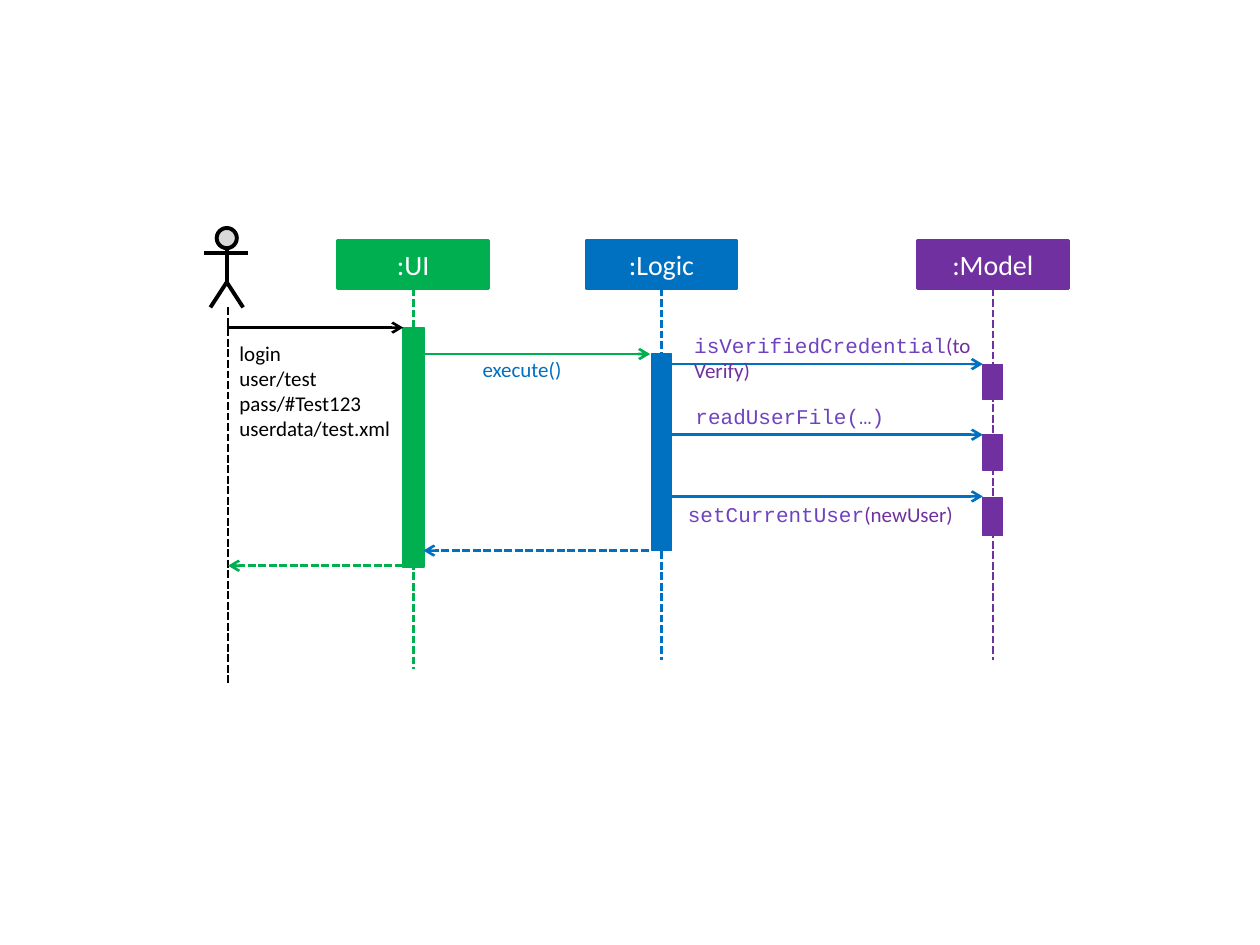
from pptx import Presentation
from pptx.dml.color import RGBColor
from pptx.enum import dml, shapes, text
from pptx.oxml.ns import qn
from pptx.util import Inches, Pt
from lxml import etree

COLORS = {
    "ui": "00B050", "logic": "0070C0", "model": "7030A0", "actor": "000000",
    "head": "D9D9D9", "code": "6F42C1", "white": "FFFFFF",
}
BODY, MONO = "Calibri", "Courier New"

# Participants: name, colour, centre x, lifeline end, activations (top, width, height)
HEADER_TOP, HEADER_WIDTH, HEADER_HEIGHT = 1.91, 1.2, 0.38
PARTICIPANTS = [
    (":UI", "ui", 3.28, 5.31, [(2.6, 0.17, 1.9)]),
    (":Logic", "logic", 5.25, 5.24, [(2.81, 0.16, 1.56)]),
    (":Model", "model", 7.88, 5.24,
     [(2.89, 0.16, 0.28), (3.45, 0.16, 0.28), (3.95, 0.16, 0.3)]),
]
ACTOR_X, ACTOR_LIFELINE = 1.8, (2.44, 5.43)

# Messages: sender x, receiver x, y, colour, is a return
MESSAGES = [
    (1.8, 3.2, 2.6, "actor", False),
    (3.36, 5.16, 2.81, "ui", False),
    (5.33, 7.8, 2.89, "logic", False),
    (5.33, 7.8, 3.45, "logic", False),
    (5.33, 7.8, 3.94, "logic", False),
    (5.15, 3.36, 4.37, "logic", True),
    (3.28, 1.81, 4.49, "ui", True),
]

# Labels: left, top, width, height, paragraphs of (text, font, colour) runs
LABELS = [
    (1.9, 2.7, 1.35, 0.81, [[("login\vuser/test", BODY, "actor")],
                            [("pass/#Test123", BODY, "actor")],
                            [("userdata/test.xml", BODY, "actor")]]),
    (3.83, 2.83, 1.56, 0.2, [[("execute()", BODY, "logic")]]),
    (5.51, 2.64, 2.23, 0.2, [[("isVerifiedCredential", MONO, "code"),
                              ("(toVerify)", BODY, "model")]]),
    (5.52, 3.2, 2.23, 0.2, [[("readUserFile(…)", MONO, "code")]]),
    (5.46, 3.98, 2.23, 0.2, [[("setCurrentUser", MONO, "code"),
                              ("(newUser)", BODY, "model")]]),
]


def rgb(name):
    return RGBColor.from_string(COLORS[name])


def style_font(font, size, name, color):
    font.size, font.name = Pt(size), name
    font.color.rgb = rgb(color)


def add_block(parent, kind, left, top, width, height, fill, line, weight):
    block = parent.add_shape(kind, *map(Inches, (left, top, width, height)))
    block.shadow.inherit = False
    block.fill.solid()
    block.fill.fore_color.rgb = rgb(fill)
    block.line.color.rgb = rgb(line)
    block.line.width = Pt(weight)
    return block


def add_line(parent, x1, y1, x2, y2, color, weight=1.5, dashed=False, arrow=False):
    line = parent.add_connector(shapes.MSO_CONNECTOR.STRAIGHT,
                                *map(Inches, (x1, y1, x2, y2)))
    line.line.color.rgb = rgb(color)
    line.line.width = Pt(weight)
    if dashed:
        line.line.dash_style = dml.MSO_LINE.SQUARE_DOT
    properties = line._element.spPr
    if arrow:
        etree.SubElement(properties.find(qn("a:ln")), qn("a:tailEnd"), type="arrow")
    etree.SubElement(properties, qn("a:effectLst"))
    return line


def add_actor(slide):
    figure = slide.shapes.add_group_shape().shapes
    add_block(figure, shapes.MSO_SHAPE.FLOWCHART_CONNECTOR,
              ACTOR_X - 0.08, 1.81, 0.16, 0.16, "head", "actor", 2.25)
    add_line(figure, ACTOR_X, 1.97, ACTOR_X, 2.25, "actor", 2.25)
    add_line(figure, ACTOR_X - 0.18, 2.01, ACTOR_X + 0.17, 2.01, "actor", 2.25)
    outline = figure.build_freeform(Inches(ACTOR_X - 0.13), Inches(2.44))
    outline.add_line_segments([(Inches(ACTOR_X), Inches(2.24)),
                               (Inches(ACTOR_X + 0.13), Inches(2.44))], close=False)
    legs = outline.convert_to_shape()
    legs.shadow.inherit = False
    legs.fill.background()
    legs.line.color.rgb = rgb("actor")
    legs.line.width = Pt(2.25)


def add_participant(slide, name, color, center, end, activations):
    rectangle = shapes.MSO_SHAPE.RECTANGLE
    header = add_block(slide.shapes, rectangle, center - HEADER_WIDTH / 2, HEADER_TOP,
                       HEADER_WIDTH, HEADER_HEIGHT, color, color, 1.5)
    header.text_frame.text = name
    header.text_frame.vertical_anchor = text.MSO_ANCHOR.MIDDLE
    para = header.text_frame.paragraphs[0]
    para.alignment = text.PP_ALIGN.CENTER
    style_font(para.font, 16, BODY, "white")

    lifeline = add_line(slide.shapes, center, HEADER_TOP + HEADER_HEIGHT,
                        center, end, color, dashed=True)
    lifeline.begin_connect(header, 2)
    for top, width, height in activations:
        add_block(slide.shapes, rectangle, center - width / 2, top, width, height,
                  color, color, 0.75)


def add_label(slide, left, top, width, height, paragraphs):
    box = slide.shapes.add_textbox(*map(Inches, (left, top, width, height)))
    frame = box.text_frame
    frame.word_wrap = True
    frame.auto_size = text.MSO_AUTO_SIZE.SHAPE_TO_FIT_TEXT
    frame.margin_left = frame.margin_right = frame.margin_top = frame.margin_bottom = 0
    for index, spans in enumerate(paragraphs):
        para = frame.add_paragraph() if index else frame.paragraphs[0]
        if len(spans) == 1:
            words, font, color = spans[0]
            para.text = words
            style_font(para.font, 12, font, color)
            continue
        for words, font, color in spans:
            span = para.add_run()
            span.text = words
            style_font(span.font, 12, font, color)


def main():
    deck = Presentation()
    deck.slide_width, deck.slide_height = Inches(10), Inches(7.5)
    slide = deck.slides.add_slide(deck.slide_layouts[6])

    # Actor and participants with their lifelines
    add_actor(slide)
    add_line(slide.shapes, ACTOR_X + 0.01, ACTOR_LIFELINE[0],
             ACTOR_X + 0.01, ACTOR_LIFELINE[1], "actor", dashed=True)
    for participant in PARTICIPANTS:
        add_participant(slide, *participant)

    # Calls, returns and their labels
    for sender, receiver, y, color, is_return in MESSAGES:
        add_line(slide.shapes, sender, y, receiver, y, color,
                 dashed=is_return, arrow=True)
    for label in LABELS:
        add_label(slide, *label)

    deck.save("out.pptx")


if __name__ == "__main__":
    main()
